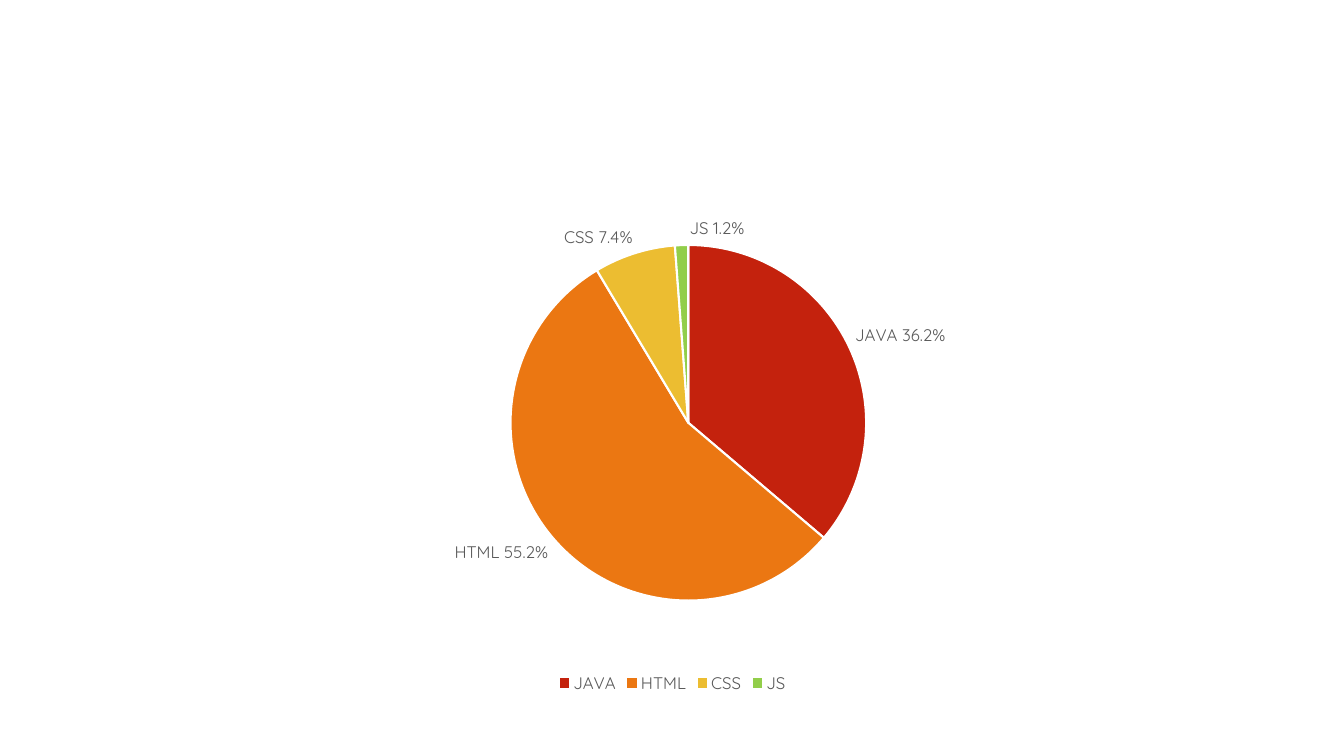
from copy import deepcopy

from lxml.etree import SubElement
from pptx import Presentation
from pptx.chart.data import CategoryChartData
from pptx.dml.color import RGBColor
from pptx.enum.chart import XL_CHART_TYPE as ChartType
from pptx.enum.chart import XL_LABEL_POSITION as LabelPosition
from pptx.enum.chart import XL_LEGEND_POSITION as LegendPosition
from pptx.oxml.ns import qn
from pptx.util import Pt

SHARES = [
    ("JAVA", 36.2, "C4220D"),
    ("HTML", 55.2, "EB7712"),
    ("CSS", 7.4, "ECBD31"),
    ("JS", 1.2, "92CE4A"),
]
CHART_BOX = (55.44, 110.88, 849.6, 387.36)
PIE_AREA = {"x": 0.364, "y": 0.092, "w": 0.299, "h": 0.803}
JS_LABEL_SHIFT = {"x": 0.03, "y": 0}
FONT = "Quicksand"
TEXT_COLOR = "595959"


def color(hex_value):
    return RGBColor.from_string(hex_value)


def style_font(font, size, hex_value):
    font.name = FONT
    font.size = Pt(size)
    font.color.rgb = color(hex_value)


def add_layout(layout, modes, fractions):
    """Fill a c:layout element with chart fractions."""
    manual = SubElement(layout, qn("c:manualLayout"))
    for tag, value in {**modes, **fractions}.items():
        SubElement(manual, qn(f"c:{tag}")).set("val", str(value))


def shift_label(labels, index, shift):
    """Move one label off its default place, keeping the series' label style."""
    label = labels.makeelement(qn("c:dLbl"))
    SubElement(label, qn("c:idx")).set("val", str(index))
    add_layout(SubElement(label, qn("c:layout")), {}, shift)
    for setting in labels:
        if setting.tag != qn("c:showLeaderLines"):
            label.append(deepcopy(setting))
    labels.insert(0, label)


deck = Presentation()
deck.slide_width, deck.slide_height = Pt(960), Pt(540)
page = deck.slides.add_slide(deck.slide_layouts[6])

names, values, fills = zip(*SHARES)
data = CategoryChartData()
data.categories = names
data.add_series("Series 1", values)
frame = page.shapes.add_chart(ChartType.PIE, *map(Pt, CHART_BOX), data)
chart = frame.chart
chart.has_title = False
style_font(chart.font, 10, "000000")

chart.has_legend = True
chart.legend.position = LegendPosition.BOTTOM
chart.legend.include_in_layout = False
style_font(chart.legend.font, 12, TEXT_COLOR)

plot = chart.plots[0]
plot.vary_by_categories = True
series = plot.series[0]
for index, fill in enumerate(fills):
    slice_format = series.points[index].format
    slice_format.fill.solid()
    slice_format.fill.fore_color.rgb = color(fill)
    slice_format.line.color.rgb = color("FFFFFF")
    slice_format.line.width = Pt(1.5)

labels = series.data_labels
labels.show_value = False
labels.show_category_name = True
labels.show_percentage = True
labels.position = LabelPosition.OUTSIDE_END
labels.number_format = "0.0%"
labels.number_format_is_linked = False
style_font(labels.font, 12, TEXT_COLOR)
label_xml = labels._element
separator = label_xml.makeelement(qn("c:separator"))
separator.text = " "
label_xml.find(qn("c:showPercent")).getnext().addnext(separator)
shift_label(label_xml, names.index("JS"), JS_LABEL_SHIFT)

plot_area = chart._chartSpace.chart.plotArea
layout = plot_area.find(qn("c:layout"))
if layout is None:
    layout = plot_area.makeelement(qn("c:layout"))
    plot_area.insert(0, layout)
add_layout(layout, {"layoutTarget": "inner", "xMode": "edge", "yMode": "edge"}, PIE_AREA)

deck.save("out.pptx")
